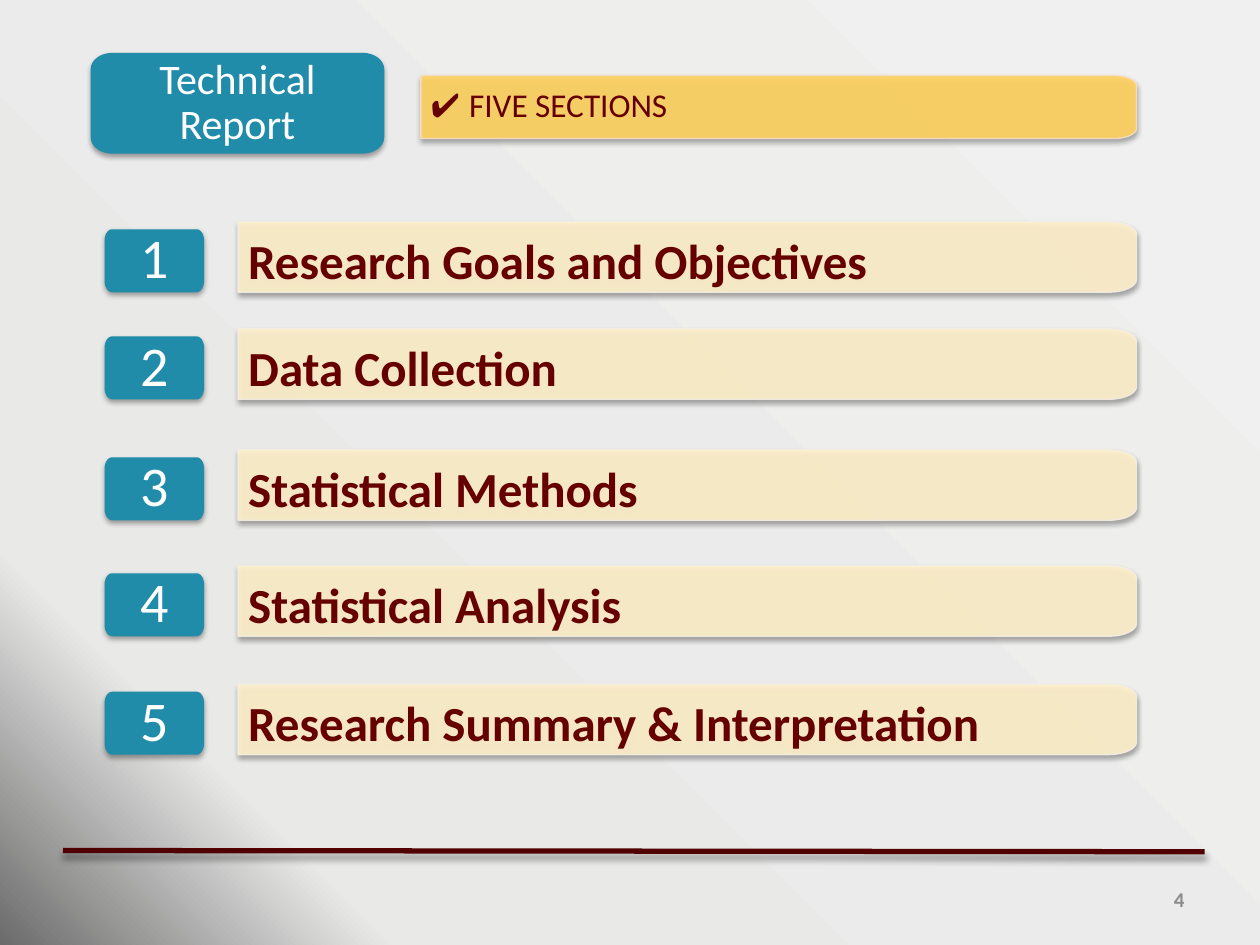
import math
from lxml import etree
from pptx import Presentation, util as u
from pptx.dml.color import RGBColor
from pptx.enum import shapes, text
from pptx.oxml import parse_xml
from pptx.oxml.ns import nsdecls, qn

TEAL = RGBColor(0x20, 0x8C, 0xAA)
GOLD = RGBColor(0xFF, 0xD2, 0x5F)
GOLD_EDGE = RGBColor(0xF7, 0xDE, 0xC6)
CREAM = RGBColor(0xFF, 0xF0, 0xCA)
CREAM_EDGE = RGBColor(0xF3, 0xEF, 0xE4)
MAROON = RGBColor(0x66, 0x00, 0x00)
RULE = RGBColor(0x50, 0x00, 0x00)
GRAY = RGBColor(0x8C, 0x8C, 0x8C)
WHITE = RGBColor(0xFF, 0xFF, 0xFF)
BACKGROUND = [(0, RGBColor(0xF0, 0xF0, 0xF0)), (82, RGBColor(0xE9, 0xE9, 0xE8)),
              (100, RGBColor(0x6B, 0x6B, 0x6B))]

TITLE = "Technical Report"
SUBTITLE = [("✔ ", "Arial"), ("FIVE SECTIONS", "Calibri")]
PAGE_NUMBER = "4"
SECTIONS = [
    ("Research Goals and Objectives", 1.76),
    ("Data Collection", 2.61),
    ("Statistical Methods", 3.57),
    ("Statistical Analysis", 4.49),
    ("Research Summary & Interpretation", 5.43),
]
BAR_HEIGHT, BUTTON_HEIGHT = 0.56, 0.5
BAR_INSETS = (0.08, 0.1, 0.14, 0.1)
BUTTON_INSETS = (0.21, 0.14, 0.21, 0.14)
CENTER, LEFT, RIGHT = text.PP_ALIGN.CENTER, text.PP_ALIGN.LEFT, text.PP_ALIGN.RIGHT


def write_text(shape, content, size, color, insets, align=LEFT, bold=False, spacing=1.0):
    frame = shape.text_frame
    frame.word_wrap = True
    frame.vertical_anchor = text.MSO_ANCHOR.MIDDLE
    (frame.margin_left, frame.margin_top,
     frame.margin_right, frame.margin_bottom) = map(u.Inches, insets)
    paragraph = frame.paragraphs[0]
    paragraph.alignment = align
    paragraph.line_spacing = spacing
    runs = [(content, "Calibri")] if isinstance(content, str) else content
    for words, font_name in runs:
        run = paragraph.add_run()
        run.text = words
        run.font.name = font_name
        run.font.size = u.Pt(size)
        run.font.bold = bold
        run.font.color.rgb = color


def add_shadow(shape, opacity, blur, distance):
    properties = shape.element.spPr
    for old in properties.findall(qn("a:effectLst")):
        properties.remove(old)
    properties.append(parse_xml(
        f'<a:effectLst {nsdecls("a")}><a:outerShdw blurRad="{u.Pt(blur)}" '
        f'dist="{u.Pt(distance)}" dir="5400000" rotWithShape="0"><a:srgbClr val="000000">'
        f'<a:alpha val="{opacity * 1000}"/></a:srgbClr></a:outerShdw></a:effectLst>'))


def outline_points(left, top, width, height, radius_x, radius_y, round_left):
    right, bottom = left + width, top + height
    corners = [(right, top, -1, 1, -90, True), (right, bottom, -1, -1, 0, True),
               (left, bottom, 1, -1, 90, round_left), (left, top, 1, 1, 180, round_left)]
    points = []
    for x, y, toward_x, toward_y, start, rounded in corners:
        if not rounded:
            points.append((x, y))
            continue
        for step in range(9):
            angle = math.radians(start + step * 90 / 8)
            points.append((x + radius_x * (toward_x + math.cos(angle)),
                           y + radius_y * (toward_y + math.sin(angle))))
    return [(u.Inches(x), u.Inches(y)) for x, y in points]


def add_panel(slide, box, radii, fill, edge=None):
    points = outline_points(*box, *radii, round_left=edge is None)
    builder = slide.shapes.build_freeform(*points[0])
    builder.add_line_segments(points[1:], close=True)
    shape = builder.convert_to_shape()
    shape.fill.solid()
    shape.fill.fore_color.rgb = fill
    if edge is None:
        shape.line.fill.background()
    else:
        shape.line.color.rgb = edge
        shape.line.width = u.Pt(0.75)
        for color in shape.element.spPr.iter(qn("a:srgbClr")):
            etree.SubElement(color, qn("a:alpha"), val="90000")
    add_shadow(shape, 35, 3.1, 1.8)
    return shape


def paint_background(slide):
    slide.background.fill.solid()
    stops = "".join(f'<a:gs pos="{position * 1000}"><a:srgbClr val="{color}"/></a:gs>'
                    for position, color in BACKGROUND)
    gradient = parse_xml(
        f'<a:gradFill {nsdecls("a")} rotWithShape="1"><a:gsLst>{stops}</a:gsLst>'
        '<a:path path="circle"><a:fillToRect l="100000" b="100000"/></a:path></a:gradFill>')
    solid = slide.element.xpath(".//p:bgPr/a:solidFill")[0]
    solid.getparent().replace(solid, gradient)


def main():
    presentation = Presentation()
    presentation.slide_width, presentation.slide_height = u.Inches(10), u.Inches(7.5)
    slide = presentation.slides.add_slide(presentation.slide_layouts[6])
    paint_background(slide)

    rule = slide.shapes.add_connector(shapes.MSO_CONNECTOR.STRAIGHT, u.Inches(0.5),
                                      u.Inches(6.75), u.Inches(9.56), u.Inches(6.76))
    rule.line.color.rgb = RULE
    rule.line.width = u.Pt(3)
    add_shadow(rule, 40, 4, 3)

    subtitle = add_panel(slide, (3.34, 0.6, 5.68, 0.5), (0.18, 0.08), GOLD, GOLD_EDGE)
    write_text(subtitle, SUBTITLE, 19, MAROON, BAR_INSETS, spacing=0.9)
    title = add_panel(slide, (0.72, 0.42, 2.33, 0.8), (0.17, 0.13), TEAL)
    write_text(title, TITLE, 24, WHITE, BUTTON_INSETS, align=CENTER, spacing=0.9)

    for number, (section, top) in enumerate(SECTIONS, 1):
        bar = add_panel(slide, (1.89, top, 7.13, BAR_HEIGHT), (0.22, 0.1), CREAM, CREAM_EDGE)
        write_text(bar, section, 28, MAROON, BAR_INSETS, bold=True, spacing=1.1)
        button_top = top + BAR_HEIGHT - BUTTON_HEIGHT
        button = add_panel(slide, (0.83, button_top, 0.79, BUTTON_HEIGHT), (0.06, 0.09), TEAL)
        write_text(button, str(number), 32, WHITE, BUTTON_INSETS, align=CENTER, spacing=0.9)

    page = slide.shapes.add_textbox(u.Inches(7.17), u.Inches(6.94),
                                    u.Inches(2.33), u.Inches(0.4))
    write_text(page, PAGE_NUMBER, 12, GRAY, (0.1, 0.05, 0.1, 0.05), align=RIGHT, bold=True)
    presentation.save("out.pptx")


if __name__ == "__main__":
    main()
